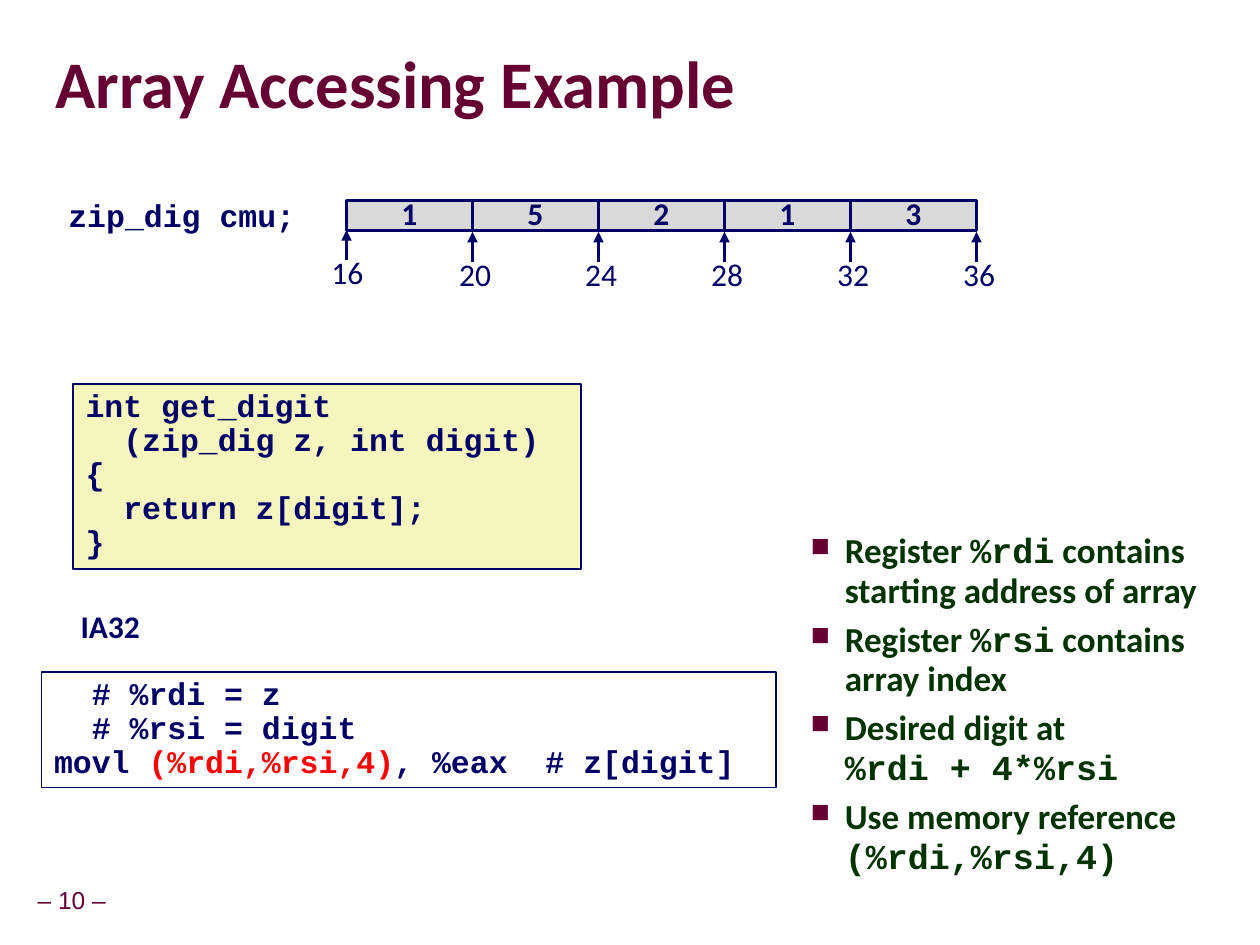
from dataclasses import dataclass
from typing import NamedTuple, Optional

from lxml import etree
from pptx import Presentation
from pptx.dml.color import RGBColor
from pptx.enum.shapes import MSO_CONNECTOR, MSO_SHAPE
from pptx.enum.text import MSO_ANCHOR, PP_ALIGN
from pptx.oxml import parse_xml
from pptx.oxml.ns import nsdecls, qn
from pptx.util import Pt

NAVY = RGBColor(0x00, 0x00, 0x66)
MAROON = RGBColor(0x66, 0x00, 0x33)
GREEN = RGBColor(0x00, 0x33, 0x00)
RED = RGBColor(0xFF, 0x00, 0x00)
CREAM = RGBColor(0xF6, 0xF5, 0xBD)
GRAY = RGBColor(0xD9, 0xD9, 0xD9)

LEFT, CENTER, RIGHT = PP_ALIGN.LEFT, PP_ALIGN.CENTER, PP_ALIGN.RIGHT
TOP, MIDDLE = MSO_ANCHOR.TOP, MSO_ANCHOR.MIDDLE
RECTANGLE, STRAIGHT = MSO_SHAPE.RECTANGLE, MSO_CONNECTOR.STRAIGHT

SANS, MONO = "Calibri", "Courier New"
BREAK = "\n"

ARRAY_LEFT, ARRAY_TOP = 198, 114.5
CELL_WIDTH, CELL_HEIGHT = 72, 17.3
ARROW_TOP, ARROW_LENGTH = 132.5, 17.3
LABEL_TOP, LABEL_WIDTH, LABEL_HEIGHT = 144.7, 77.8, 28.8
DIGITS = (1, 5, 2, 1, 3)
FIRST_ADDRESS, INT_SIZE = 16, 4


class Box(NamedTuple):
    left: float
    top: float
    width: float
    height: float


@dataclass(frozen=True)
class Style:
    size: float = 18
    font: str = SANS
    color: RGBColor = NAVY
    bold: bool = True
    align: PP_ALIGN = LEFT
    anchor: MSO_ANCHOR = TOP
    spacing: float = 0.9
    margins: tuple = (7.2, 3.6)
    wrap: bool = True
    bullet: bool = False


class Part(NamedTuple):
    """A run of text whose font or colour may differ from the box style."""
    text: str
    font: Optional[str] = None
    color: Optional[RGBColor] = None


TITLE = Style(size=38, color=MAROON, anchor=MIDDLE, spacing=0.87, margins=(0, 0))
PAGE = Style(size=14, font="Arial", color=MAROON, bold=False, align=CENTER,
             anchor=MIDDLE, margins=(3.6, 3.6), wrap=False)
BULLETS = Style(size=20, color=GREEN, spacing=0.95, bullet=True)
CODE = Style(font=MONO)
DECLARATION = Style(font=MONO, align=RIGHT)
HEADING = Style(align=CENTER)
DIGIT = Style(align=CENTER, anchor=MIDDLE, wrap=False)
ADDRESS = Style(bold=False, align=CENTER)

NOTES = [
    [Part("Register "), Part("%rdi", MONO), Part(" contains starting address of array")],
    [Part("Register "), Part("%rsi", MONO), Part(" contains "), Part(BREAK),
     Part("array index")],
    [Part("Desired digit at "), Part(BREAK), Part("%rdi + 4*%rsi", MONO)],
    [Part("Use memory reference "), Part("(%rdi,%rsi,4)", MONO)],
]
FUNCTION = ["int get_digit", "  (zip_dig z, int digit)", "{", "  return z[digit];", "}"]
ASSEMBLY = [
    [Part("  # %rdi = z")],
    [Part("  # %rsi = digit")],
    [Part("movl "), Part("(%rdi,%rsi,4)", color=RED), Part(", %eax  # z[digit]")],
]


def plain(*lines: str) -> list:
    return [[Part(line)] for line in lines]


def set_attributes(target, values: dict) -> None:
    for name, value in values.items():
        setattr(target, name, value)


def add_bullet(paragraph) -> None:
    properties = paragraph._p.get_or_add_pPr()
    properties.set("marL", str(Pt(31.5)))
    properties.set("indent", str(Pt(-19.5)))
    color = etree.SubElement(properties, qn("a:buClr"))
    etree.SubElement(color, qn("a:srgbClr")).set("val", str(MAROON))
    etree.SubElement(properties, qn("a:buSzPct")).set("val", "75000")
    etree.SubElement(properties, qn("a:buChar")).set("char", "■")


def write(shape, lines: list, style: Style) -> None:
    frame = shape.text_frame
    side, edge = (Pt(margin) for margin in style.margins)
    set_attributes(frame, {
        "margin_left": side, "margin_right": side, "margin_top": edge,
        "margin_bottom": edge, "word_wrap": style.wrap, "vertical_anchor": style.anchor,
    })
    for index, parts in enumerate(lines):
        paragraph = frame.add_paragraph() if index else frame.paragraphs[0]
        set_attributes(paragraph, {"alignment": style.align, "line_spacing": style.spacing})
        if style.bullet:
            paragraph.space_before = Pt(5 if index else 0)
            add_bullet(paragraph)
        for part in parts:
            if part.text == BREAK:
                paragraph.add_line_break()
                continue
            run = paragraph.add_run()
            run.text = part.text
            set_attributes(run.font, {"size": Pt(style.size), "bold": style.bold,
                                      "name": part.font or style.font})
            run.font.color.rgb = part.color or style.color


def add_text(slide, box: Box, lines: list, style: Style):
    shape = slide.shapes.add_textbox(*map(Pt, box))
    write(shape, lines, style)
    return shape


def add_panel(slide, box: Box, lines: list, style: Style,
              fill: Optional[RGBColor] = None, line_width: float = 1) -> None:
    """Draw an outlined rectangle holding text."""
    shape = slide.shapes.add_shape(RECTANGLE, *map(Pt, box))
    shape.shadow.inherit = False
    if fill is None:
        shape.fill.background()
    else:
        shape.fill.solid()
        shape.fill.fore_color.rgb = fill
    shape.line.color.rgb = NAVY
    shape.line.width = Pt(line_width)
    write(shape, lines, style)


def add_up_arrow(slide, x: float, top: float) -> None:
    arrow = slide.shapes.add_connector(
        STRAIGHT, Pt(x), Pt(top + ARROW_LENGTH), Pt(x), Pt(top))
    arrow.line.color.rgb = NAVY
    arrow.line.width = Pt(2)
    etree.SubElement(arrow.line._get_or_add_ln(), qn("a:tailEnd")).set("type", "triangle")
    etree.SubElement(arrow._element.spPr, qn("a:effectLst"))


def add_text_shadow(shape) -> None:
    """Put a soft shadow behind the letters of the first run."""
    properties = shape.text_frame.paragraphs[0].runs[0].font._element
    properties.find(qn("a:solidFill")).addnext(parse_xml(
        f'<a:effectLst {nsdecls("a")}>'
        '<a:outerShdw blurRad="38100" dist="38100" dir="2700000" algn="tl">'
        '<a:srgbClr val="000000"><a:alpha val="43000"/></a:srgbClr>'
        '</a:outerShdw></a:effectLst>'))


def add_array(slide) -> None:
    """Draw the array cells with an address arrow at every cell boundary."""
    for index, digit in enumerate(DIGITS):
        cell = Box(ARRAY_LEFT + index * CELL_WIDTH, ARRAY_TOP, CELL_WIDTH, CELL_HEIGHT)
        add_panel(slide, cell, plain(str(digit)), DIGIT, GRAY, 2)
    for index in range(len(DIGITS) + 1):
        x = ARRAY_LEFT + index * CELL_WIDTH
        shift = 0 if index else -1
        add_up_arrow(slide, x, ARROW_TOP + shift)
        label = Box(x - LABEL_WIDTH / 2 + 1.5 + shift, LABEL_TOP + shift,
                    LABEL_WIDTH, LABEL_HEIGHT)
        add_text(slide, label, plain(str(FIRST_ADDRESS + index * INT_SIZE)), ADDRESS)


def main() -> None:
    presentation = Presentation()
    presentation.slide_width, presentation.slide_height = Pt(720), Pt(540)
    slide = presentation.slides.add_slide(presentation.slide_layouts[6])

    add_text(slide, Box(17.3, 504, 47.5, 22.3), plain("– 10 –"), PAGE)
    title = add_text(slide, Box(31.7, 19.4, 686, 61.2),
                     plain("Array Accessing Example"), TITLE)
    add_text_shadow(title)
    add_text(slide, Box(444.2, 300.2, 270, 234.7), NOTES, BULLETS)
    add_panel(slide, Box(41.8, 219.6, 290.2, 105.8), plain(*FUNCTION), CODE, CREAM)
    add_panel(slide, Box(23.8, 383.8, 419.8, 66.2), ASSEMBLY, CODE)
    add_text(slide, Box(33.1, 345.6, 59.8, 36), plain("IA32"), HEADING)
    add_text(slide, Box(23.8, 110.9, 151.9, 28.8), plain("zip_dig cmu;"), DECLARATION)
    add_array(slide)

    presentation.save("out.pptx")


if __name__ == "__main__":
    main()
